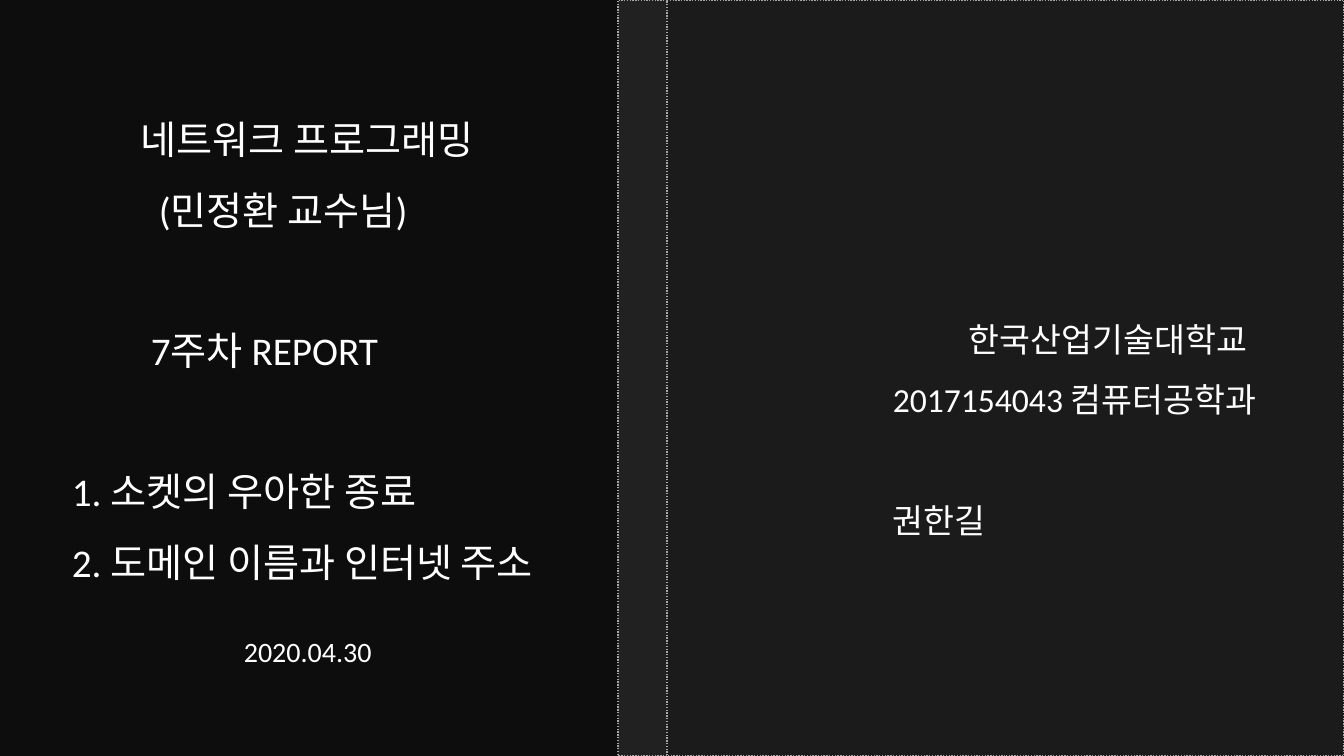
from pptx import Presentation
from pptx.dml.color import RGBColor
from pptx.enum.dml import MSO_LINE
from pptx.enum.shapes import MSO_SHAPE
from pptx.util import Pt

RECT = MSO_SHAPE.RECTANGLE
DOT = MSO_LINE.ROUND_DOT
BLACK = RGBColor(0x0D, 0x0D, 0x0D)
DARK = RGBColor(0x21, 0x21, 0x21)
PANEL = RGBColor(0x1B, 0x1B, 0x1B)
GREY = RGBColor(0xA6, 0xA6, 0xA6)
WHITE = RGBColor(0xFF, 0xFF, 0xFF)
FONT = "Calibri"
WIDE, HIGH = 1344, 756


def px(n):
    return round(n * 914400 / 100.8)


def add_text(slide, box, size, lines):
    """Each line is (text, left indent in px, space before in pt)."""
    frame = slide.shapes.add_textbox(*map(px, box)).text_frame
    frame.word_wrap = True
    for i, (text, indent, gap) in enumerate(lines):
        para = frame.paragraphs[0] if i == 0 else frame.add_paragraph()
        para.text = text
        para.line_spacing = 1.5
        para.space_before = Pt(gap)
        para.font.size = Pt(size)
        para.font.name = FONT
        para.font.color.rgb = WHITE
        props = para._p.get_or_add_pPr()
        props.set("marL", str(px(indent)))
        props.set("indent", "0")


def add_panel(slide, box, fill):
    shape = slide.shapes.add_shape(RECT, *map(px, box))
    shape.shadow.inherit = False
    shape.fill.solid()
    shape.fill.fore_color.rgb = fill
    shape.line.color.rgb = GREY
    shape.line.width = Pt(1)
    shape.line.dash_style = DOT


def add_cover(slide, x, y, w, h):
    # Course, week and topics
    add_text(slide, (x, y + 87, w, 501), 28, [
        ("네트워크 프로그래밍", 131, 0),
        ("(민정환 교수님)", 149, 0),
        ("7주차 REPORT", 141, 50),
        ("1. 소켓의 우아한 종료", 62, 50),
        ("2. 도메인 이름과 인터넷 주소", 62, 0),
    ])
    # Date
    add_text(slide, (x + 234, y + 613, 160, 55), 20, [("2020.04.30", 0, 0)])


def add_author(slide, x, y, w, h):
    # Spine and page
    spine = 49
    add_panel(slide, (x, y, w, h), DARK)
    add_panel(slide, (x + spine, y, w - spine, h), PANEL)
    # Student
    add_text(slide, (x + 265, y + 354, 403, 186), 24, [
        ("2017154043 컴퓨터공학과", 0, 0),
        ("권한길", 0, 43),
    ])
    # School
    add_text(slide, (x + 341, y + 294, 326, 63), 24,
             [("한국산업기술대학교", 0, 0)])


def main():
    deck = Presentation()
    deck.slide_width, deck.slide_height = px(WIDE), px(HIGH)
    slide = deck.slides.add_slide(deck.slide_layouts[6])
    slide.background.fill.solid()
    slide.background.fill.fore_color.rgb = BLACK
    split = 618
    add_cover(slide, 0, 0, split, HIGH)
    add_author(slide, split, 0, WIDE - split, HIGH)
    deck.save("out.pptx")


if __name__ == "__main__":
    main()
